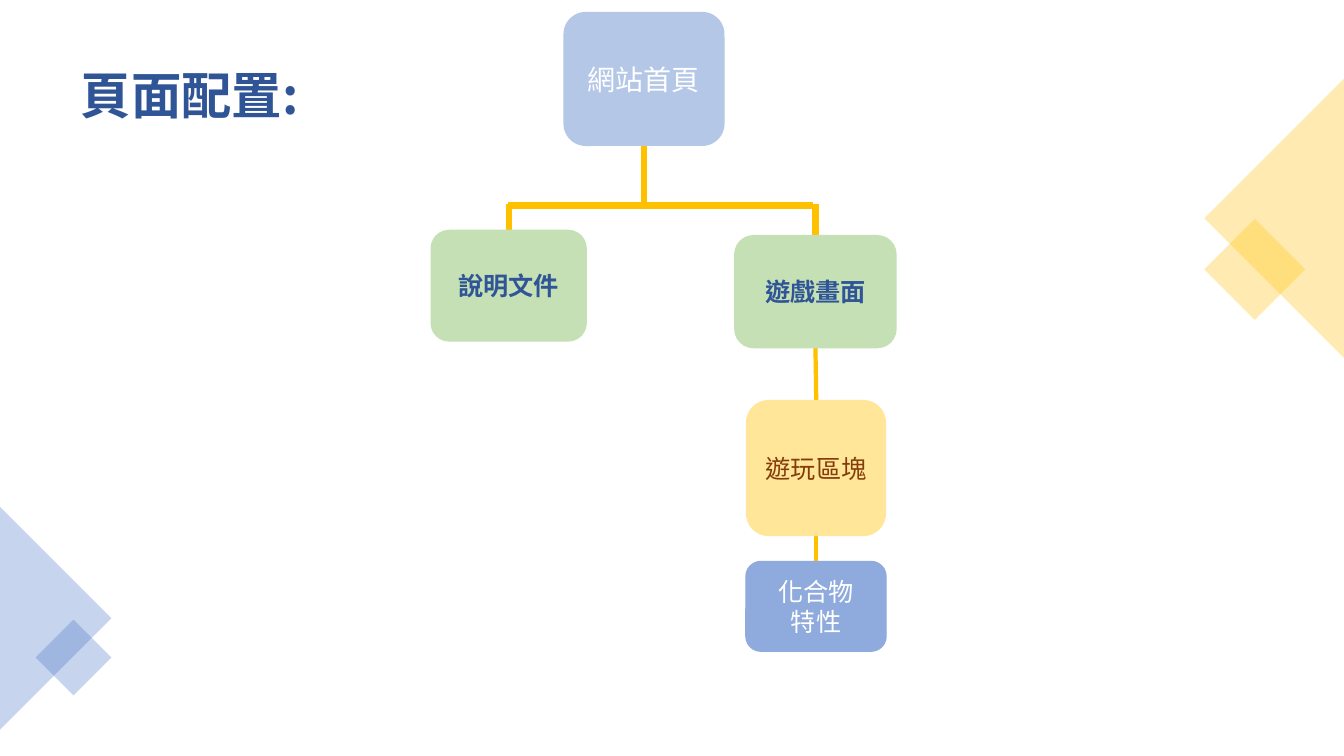
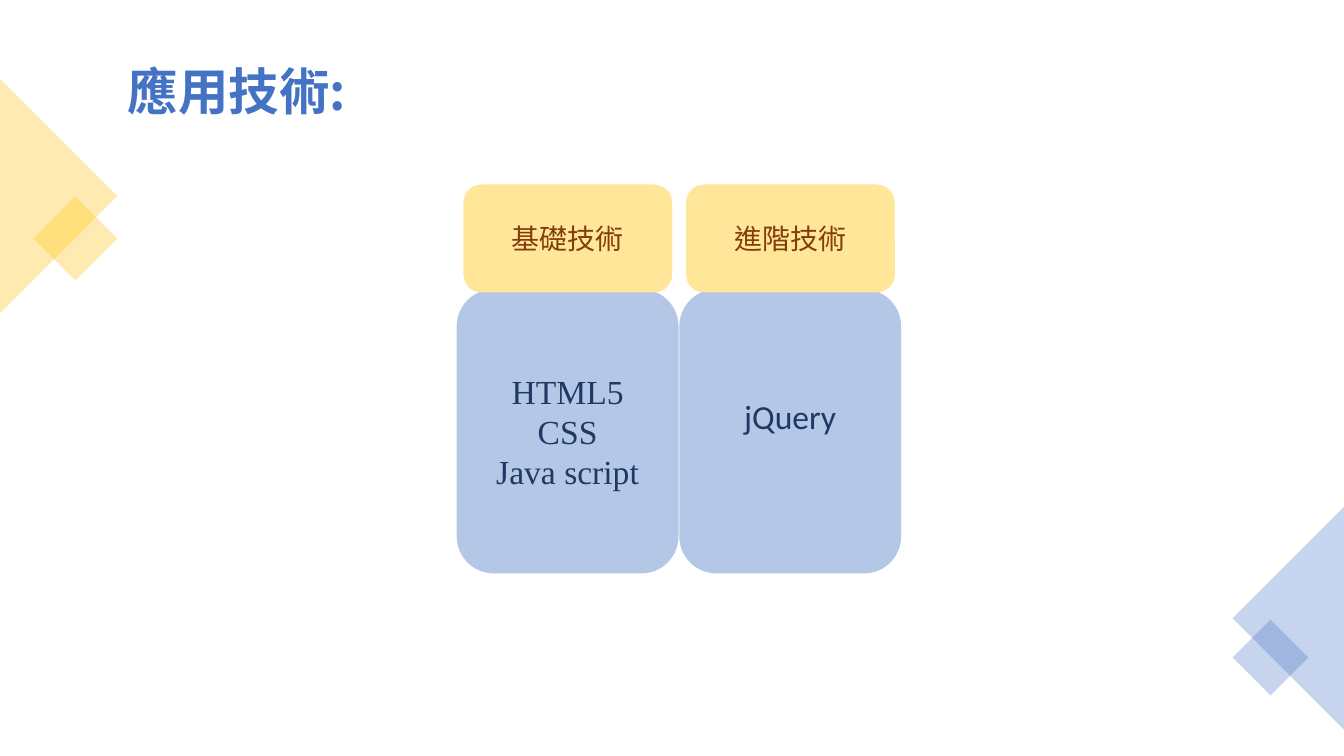
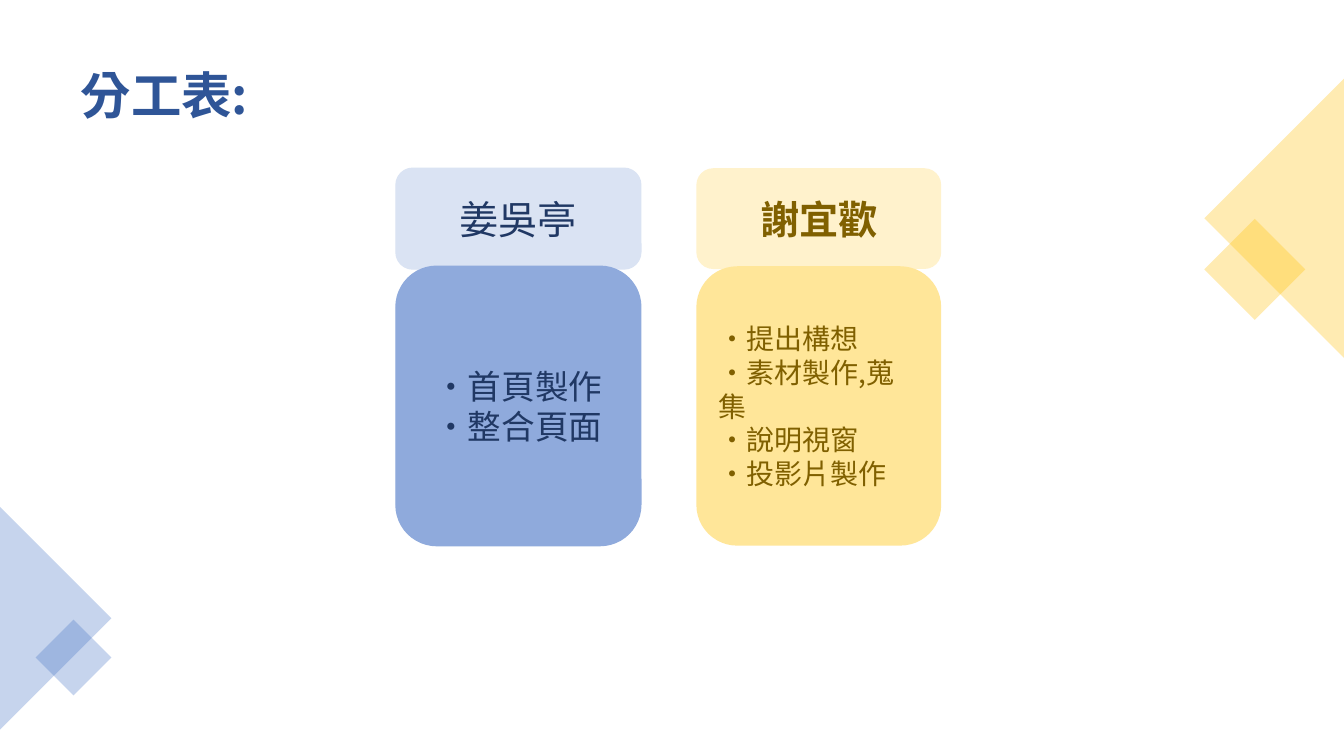
from lxml.etree import SubElement
from pptx import Presentation
from pptx.dml.color import RGBColor
from pptx.enum.shapes import MSO_CONNECTOR, MSO_SHAPE
from pptx.enum.text import MSO_ANCHOR, PP_ALIGN
from pptx.oxml.ns import qn
from pptx.util import Cm, Pt


class Theme:
    cjk, sans, serif = "Noto Sans CJK SC", "Calibri", "Times New Roman"
    gold, blue = "FFC000", "4472C4"
    navy, ink, white = "2F5597", "203864", "FFFFFF"
    mist, sky, steel = "DAE3F3", "B4C7E7", "8FAADC"
    cream, sand, green = "FFF2CC", "FFE699", "C5E0B4"
    brown, olive = "843C0B", "806000"
    title, name, big, mid, small = 36, 28, 24, 20, 18
    alpha = 30
    wide, high = 33.87, 19.05


def write(frame, text, size, color, bold=False, align=PP_ALIGN.CENTER, font=Theme.cjk):
    frame.text = text
    frame.word_wrap = True
    frame.vertical_anchor = MSO_ANCHOR.MIDDLE
    for para in frame.paragraphs:
        para.alignment = align
        for run in para.runs:
            run.font.size = Pt(size)
            run.font.bold = bold
            run.font.color.rgb = RGBColor.from_string(color)
            run.font.name = font
            props = run.font._element
            props.set("lang", "zh-TW")
            SubElement(props, qn("a:ea")).set("typeface", Theme.cjk)


def draw(slide, area, fill, edge=False, kind=MSO_SHAPE.ROUNDED_RECTANGLE):
    shape = slide.shapes.add_shape(kind, *[Cm(n) for n in area])
    shape.shadow.inherit = False
    shape.fill.solid()
    shape.fill.fore_color.rgb = RGBColor.from_string(fill)
    if edge:
        shape.line.color.rgb = RGBColor.from_string(fill)
        shape.line.width = Pt(1)
    else:
        shape.line.fill.background()
    return shape


deck = Presentation()
deck.slide_width, deck.slide_height = Cm(Theme.wide), Cm(Theme.high)

# Corner sets: colour, on the right, triangle base, its middle, square side, its middle
main = [
    (Theme.gold, True, 7.04, 5.5, 1.8, 6.79),
    (Theme.blue, False, 5.61, 15.58, 1.35, 16.57),
]
flip = [
    (Theme.gold, False, 5.92, 4.94, 1.5, 6.01),
    (Theme.blue, True, 5.61, 15.58, 1.35, 16.57),
]
wide_top = (1.78, 0.89, 30.3, 3.15)
short_top = (2.97, 0.79, 14.27, 3.15)

# Titles and corner shapes of every slide
slides = []
for text, color, area, corners in [
    ("頁面配置:", Theme.navy, wide_top, main),
    ("應用技術:", Theme.blue, short_top, flip),
    ("分工表:", Theme.navy, wide_top, main),
]:
    slide = deck.slides.add_slide(deck.slide_layouts[5])
    slides.append(slide)
    title = slide.shapes.title
    title.left, title.top, title.width, title.height = [Cm(n) for n in area]
    write(title.text_frame, text, Theme.title, color, True, PP_ALIGN.LEFT)
    title.text_frame.paragraphs[0].line_spacing = 0.9

    for fill, right, base, tri_y, side, sq_y in corners:
        # The outer corner of the square lines up with the triangle's tip
        tri_x = base / 4
        sq_x = base / 2 - side / 2 ** 0.5
        if right:
            tri_x, sq_x = Theme.wide - tri_x, Theme.wide - sq_x
        for kind, x, y, w, h, turn in [
            (MSO_SHAPE.ISOSCELES_TRIANGLE, tri_x, tri_y, base, base / 2, 270 if right else 90),
            (MSO_SHAPE.RECTANGLE, sq_x, sq_y, side, side, 45),
        ]:
            shape = draw(slide, (x - w / 2, y - h / 2, w, h), fill, kind=kind)
            shape.rotation = turn
            tint = shape.fill._xPr.find(".//" + qn("a:srgbClr"))
            SubElement(tint, qn("a:alpha")).set("val", str(Theme.alpha * 1000))

site, tech, team = slides

# Site map: links
for x1, y1, x2, y2, width in [
    (12.83, 5.13, 12.83, 5.79, 4.5),
    (16.23, 3.66, 16.23, 5.18, 4.5),
    (12.8, 5.18, 16.23, 5.18, 4.5),
    (16.03, 5.18, 20.5, 5.18, 4.5),
    (20.55, 5.13, 20.55, 5.94, 4.5),
    (20.55, 8.76, 20.57, 10.08, 3),
    (20.57, 13.49, 20.57, 14.15, 3),
]:
    link = site.shapes.add_connector(MSO_CONNECTOR.STRAIGHT, Cm(x1), Cm(y1), Cm(x2), Cm(y2))
    link.line.color.rgb = RGBColor.from_string(Theme.gold)
    link.line.width = Pt(width)
    SubElement(link._element.spPr, qn("a:effectLst"))

# Site map: pages
for text, area, fill, edge, size, color, bold in [
    ("網站首頁", (14.2, 0.3, 4.06, 3.38), Theme.sky, False, Theme.mid, Theme.white, False),
    ("說明文件", (10.85, 5.79, 3.94, 2.82), Theme.green, False, Theme.small, Theme.navy, True),
    ("遊戲畫面", (18.52, 5.94, 4.06, 2.82), Theme.green, True, Theme.small, Theme.navy, True),
    ("遊玩區塊", (18.8, 10.08, 3.53, 3.43), Theme.sand, False, Theme.small, Theme.brown, False),
    ("化合物\n特性", (18.8, 14.15, 3.53, 2.26), Theme.steel, True, Theme.small, Theme.white, False),
]:
    page = draw(site, area, fill, edge)
    write(page.text_frame, text, size, color, bold)

# Techniques: two columns, each a body with its head on top
for col, (head, text, font, foot) in enumerate([
    ("基礎技術", "HTML5\nCSS\nJava script", Theme.serif, 0.13),
    ("進階技術", "jQuery", Theme.sans, 0.9),
]):
    left = 11.51 + col * 5.61
    body = draw(tech, (left, 7.29, 5.59, 7.16), Theme.sky)
    write(body.text_frame, text, Theme.big, Theme.ink, font=font)
    body.text_frame.margin_bottom = Cm(foot)
    top = draw(tech, (left + 0.17, 4.65, 5.26, 2.72), Theme.sand)
    write(top.text_frame, head, Theme.mid, Theme.brown)

# Team: a name and a list of tasks for each member
for col, (name, tasks, pale, fill, color, edge, bold, size, align) in enumerate([
    ("姜吳亭", "‧首頁製作\n‧整合頁面", Theme.mist, Theme.steel, Theme.ink,
     True, False, Theme.big, PP_ALIGN.CENTER),
    ("謝宜歡", "‧提出構想\n‧素材製作,蒐集\n‧說明視窗\n‧投影片製作", Theme.cream, Theme.sand,
     Theme.olive, False, True, Theme.mid, PP_ALIGN.LEFT),
]):
    left = 9.98 + col * 7.57
    top = draw(team, (left, 4.24, 6.17, 2.54), pale, edge)
    write(top.text_frame, name, Theme.name, color, bold)
    body = draw(team, (left, 6.71, 6.17, 7.04), fill, edge)
    write(body.text_frame, tasks, size, color, align=align)

deck.save("out.pptx")
